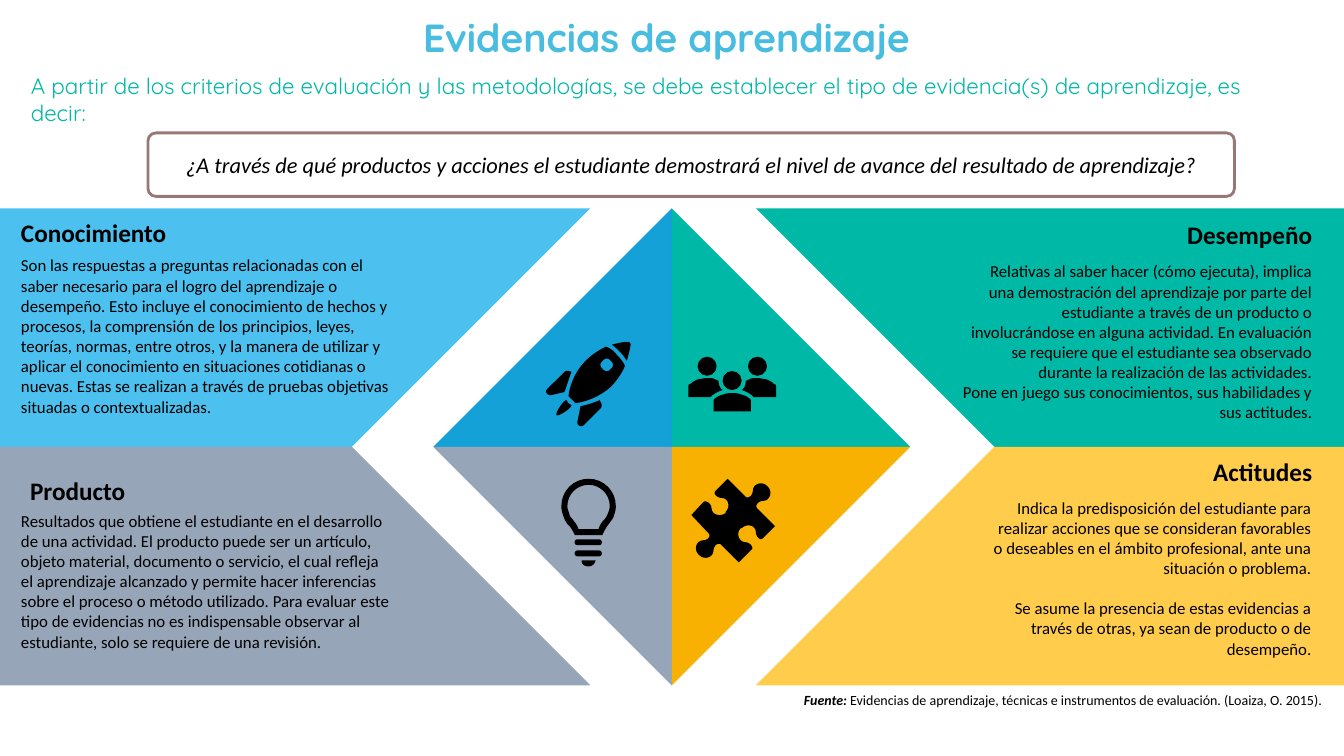
"""Builds the slide on the four kinds of learning evidence."""
from pptx import Presentation
from pptx.dml.color import RGBColor
from pptx.enum.shapes import MSO_SHAPE
from pptx.enum.text import MSO_ANCHOR, PP_ALIGN
from pptx.util import Cm, Pt

LEFT, CENTER, RIGHT = PP_ALIGN.LEFT, PP_ALIGN.CENTER, PP_ALIGN.RIGHT
TOP, MIDDLE, BOTTOM = MSO_ANCHOR.TOP, MSO_ANCHOR.MIDDLE, MSO_ANCHOR.BOTTOM
OVAL, ROUNDED = MSO_SHAPE.OVAL, MSO_SHAPE.ROUNDED_RECTANGLE

BLACK = RGBColor(0x00, 0x00, 0x00)
WHITE = RGBColor(0xFF, 0xFF, 0xFF)
TITLE_BLUE = RGBColor(0x48, 0xBD, 0xE0)
SKY = RGBColor(0x4C, 0xC1, 0xEF)
BLUE = RGBColor(0x13, 0xA1, 0xD8)
TEAL = RGBColor(0x00, 0xB8, 0xA6)
GRAY = RGBColor(0x97, 0xA5, 0xB8)
YELLOW = RGBColor(0xFF, 0xCC, 0x4C)
AMBER = RGBColor(0xF8, 0xB1, 0x00)
BROWN = RGBColor(0x96, 0x78, 0x76)

SLIDE_WIDTH, SLIDE_HEIGHT = 33.87, 19.05
CENTER_X, CENTER_Y, REACH = 16.93, 11.26, 6.01
LEFT_TIP, RIGHT_TIP = 8.87, 25.06
ICON_UNIT = 0.0254

QUADRANTS = [
    (-1, -1, SKY, BLUE), (1, -1, TEAL, TEAL),
    (-1, 1, GRAY, GRAY), (1, 1, YELLOW, AMBER),
]

CARDS = [
    ("Conocimiento", (0.53, 5.36, 6.1, 1.02), (0.53, 6.3, 9.55, 4.37), LEFT,
     "Son las respuestas a preguntas relacionadas con el saber necesario para el logro del "
     "aprendizaje o desempeño. Esto incluye el conocimiento de hechos y procesos, la "
     "comprensión de los principios, leyes, teorías, normas, entre otros, y la manera de "
     "utilizar y aplicar el conocimiento en situaciones cotidianas o nuevas. Estas se realizan "
     "a través de pruebas objetivas situadas o contextualizadas."),
    ("Desempeño", (24.92, 5.41, 8.15, 1.02), (24.23, 6.45, 8.84, 4.37), RIGHT,
     "Relativas al saber hacer (cómo ejecuta), implica una demostración del aprendizaje por "
     "parte del estudiante a través de un producto o involucrándose en alguna actividad. En "
     "evaluación se requiere que el estudiante sea observado durante la realización de las "
     "actividades.\nPone en juego sus conocimientos, sus habilidades y sus actitudes."),
    ("Producto", (0.76, 11.86, 8.99, 1.02), (0.53, 12.73, 9.42, 3.84), LEFT,
     "Resultados que obtiene el estudiante en el desarrollo de una actividad. El producto puede "
     "ser un artículo, objeto material, documento o servicio, el cual refleja el aprendizaje "
     "alcanzado y permite hacer inferencias sobre el proceso o método utilizado. Para evaluar "
     "este tipo de evidencias no es indispensable observar al estudiante, solo se requiere de "
     "una revisión."),
    ("Actitudes", (24.92, 11.38, 8.15, 1.02), (24.92, 12.4, 8.13, 4.37), RIGHT,
     "Indica la predisposición del estudiante para realizar acciones que se consideran "
     "favorables o deseables en el ámbito profesional, ante una situación o problema.\n"
     "Se asume la presencia de estas evidencias a través de otras, ya sean de producto o de "
     "desempeño."),
]

ROCKET = [
    "M 625,340 C 624,338 615,340 607,342 610,344 612,346 615,349 618,352 620,355 622,358 "
    "624,350 627,341 625,340",
    "M 567,369 L 564,368 C 562,368 561,368 560,369 L 543,386 C 540,388 543,393 547,392 "
    "L 560,389 C 562,384 564,377 567,369",
    "M 595,397 C 588,400 581,402 576,403 L 573,418 C 572,422 576,424 579,422 L 596,405 "
    "C 597,404 597,402 597,401 L 595,397",
    "M 601,344 C 595,347 588,351 581,358 569,370 565,385 564,393 L 571,400 C 579,399 594,395 "
    "607,383 613,376 618,369 620,363 619,360 616,356 612,352 609,348 605,345 601,344 "
    "M 606,366 C 604,369 600,369 598,366 595,364 595,360 598,358 600,355 604,355 606,358 "
    "609,360 609,364 606,366",
    "M 564,400 C 562,398 563,395 559,399 556,402 551,410 552,412 554,413 562,408 565,405 "
    "569,401 566,402 564,400",
]
BULB = [
    "M 577,556 C 577,560 580,562 584,562 587,562 590,560 591,556",
    "M 584,475 C 569,475 557,487 557,502 L 557,503 C 557,506 558,509 559,512 560,515 561,517 "
    "563,520 566,522 569,528 570,530 570,531 571,531 572,531 L 596,531 C 597,531 598,531 "
    "598,530 599,528 602,522 604,520 606,517 608,515 609,512 610,509 611,506 611,503 "
    "L 611,502 C 611,487 599,475 584,475 "
    "M 605,502 C 605,505 604,507 603,510 602,512 601,514 600,515 597,518 595,521 594,525 "
    "L 574,525 C 573,521 570,518 568,515 567,514 565,512 565,510 564,507 563,505 563,502 "
    "C 563,490 573,481 584,481 595,481 605,490 605,502",
]
PUZZLE = [
    "M 740,538 C 733,538 730,529 735,524 L 736,524 C 741,519 750,521 750,528 750,532 754,537 "
    "757,534 L 769,522 751,504 C 749,501 753,497 757,497 764,497 767,488 762,483 L 761,482 "
    "C 756,477 747,480 747,487 747,491 743,495 740,493 L 722,475 710,487 C 707,490 712,494 "
    "716,494 723,494 725,503 720,508 L 720,509 C 715,513 706,511 706,504 706,500 701,496 "
    "698,498 L 686,511 703,529 C 706,532 702,536 698,536 691,536 688,545 693,550 L 694,551 "
    "C 699,556 708,553 708,546 708,542 712,538 715,540 L 733,558 746,545 C 748,543 744,538 "
    "740,538",
]
FRONT_PERSON = [
    "M 745,408 L 745,399 C 745,397 745,396 743,395 741,393 738,392 734,391 732,390 729,390 "
    "726,390 724,390 721,390 719,391 715,392 712,393 710,395 708,396 708,397 708,399 L 708,408",
]
SIDE_PERSON = (
    "M 768,381 C 766,379 763,377 759,376 757,376 754,375 751,375 749,375 746,375 744,376 "
    "743,377 741,377 740,378 740,381 739,385 736,387 740,388 743,390 746,392 746,392 747,393 "
    "748,394 L 770,394 770,384 C 770,383 770,381 768,381"
)


def paint(shape, color):
    """Give a shape a plain fill with no line and no shadow."""
    shape.shadow.inherit = False
    shape.fill.solid()
    shape.fill.fore_color.rgb = color
    shape.line.fill.background()


def add_preset(slide, kind, left, top, width, height, color, corner=None):
    """Add a preset shape in one colour."""
    shape = slide.shapes.add_shape(kind, Cm(left), Cm(top), Cm(width), Cm(height))
    paint(shape, color)
    if corner is not None:
        shape.adjustments[0] = corner
    return shape


def add_outline(slide, contours, color):
    """Add a closed freeform from contours given in centimetres."""
    contours = [[(Cm(x), Cm(y)) for x, y in contour] for contour in contours]
    builder = slide.shapes.build_freeform(*contours[0][0], scale=1.0)
    builder.add_line_segments(contours[0][1:], close=True)
    for contour in contours[1:]:
        builder.move_to(*contour[0])
        builder.add_line_segments(contour[1:], close=True)
    paint(builder.convert_to_shape(), color)


def curve(start, first, second, end, steps=8):
    """Return points along a cubic curve, without its start."""
    points = []
    for step in range(1, steps + 1):
        t = step / steps
        weights = ((1 - t) ** 3, 3 * t * (1 - t) ** 2, 3 * t * t * (1 - t), t ** 3)
        points.append(tuple(
            sum(weight * value for weight, value in zip(weights, values))
            for values in zip(start, first, second, end)))
    return points


def trace(path):
    """Turn a path of M, L and C commands into contours in icon units."""
    contours, pending, command = [], [], ""
    for token in path.split():
        if token in "MLC":
            command = token
            continue
        pending.append(tuple(int(value) for value in token.split(",")))
        if command == "M":
            contours.append(pending)
        elif command == "L":
            contours[-1].extend(pending)
        elif len(pending) == 3:
            contours[-1].extend(curve(contours[-1][-1], *pending))
        else:
            continue
        pending = []
    return contours


def add_icon(slide, paths, mirror_sum=None):
    """Draw icon paths in black, flipped left to right if asked."""
    for path in paths:
        contours = [
            [((mirror_sum - x if mirror_sum else x) * ICON_UNIT, y * ICON_UNIT)
             for x, y in contour] for contour in trace(path)]
        add_outline(slide, contours, BLACK)


def write(shape, text, lead="", size=12, font="Calibri", color=BLACK, bold=False, italic=False,
          align=LEFT, anchor=TOP, inset=(0, 0.13), gap=0):
    """Write formatted paragraphs in a shape, after an optional strong lead."""
    frame = shape.text_frame
    frame.word_wrap = True
    frame.vertical_anchor = anchor
    frame.margin_left = frame.margin_right = Cm(inset[0])
    frame.margin_top = frame.margin_bottom = Cm(inset[1])
    for index, line in enumerate(text.split("\n")):
        paragraph = frame.add_paragraph() if index else frame.paragraphs[0]
        paragraph.alignment = align
        if index and gap:
            paragraph.space_before = Pt(gap)
        pieces = [(line, bold, italic)]
        if lead and not index:
            pieces.insert(0, (lead, True, True))
        for piece, is_bold, is_italic in pieces:
            run = paragraph.add_run()
            run.text = piece
            run.font.name, run.font.size = font, Pt(size)
            run.font.bold, run.font.italic = is_bold, is_italic
            run.font.color.rgb = color


def add_text(slide, text, box, **style):
    """Add a text box at left, top, width and height in centimetres."""
    write(slide.shapes.add_textbox(*(Cm(value) for value in box)), text, **style)


def add_quadrant(slide, side, direction, panel_color, triangle_color):
    """Add an outer panel and the diamond quarter next to it."""
    edge, tip = (0, LEFT_TIP) if side < 0 else (SLIDE_WIDTH, RIGHT_TIP)
    far_y = CENTER_Y + direction * REACH
    panel = [(edge, CENTER_Y), (tip, CENTER_Y), (tip - side * REACH, far_y), (edge, far_y)]
    triangle = [(CENTER_X, CENTER_Y), (CENTER_X + side * REACH, CENTER_Y), (CENTER_X, far_y)]
    add_outline(slide, [panel], panel_color)
    add_outline(slide, [triangle], triangle_color)


def main():
    """Build the slide and save it."""
    presentation = Presentation()
    presentation.slide_width, presentation.slide_height = Cm(SLIDE_WIDTH), Cm(SLIDE_HEIGHT)
    slide = presentation.slides.add_slide(presentation.slide_layouts[6])
    for quadrant in QUADRANTS:
        add_quadrant(slide, *quadrant)
    for heading, heading_box, body_box, align, body in CARDS:
        add_text(slide, heading, heading_box, size=18, bold=True, align=align, anchor=BOTTOM)
        add_text(slide, body, body_box, align=align, gap=14.4 if heading == "Actitudes" else 0)

    for paths in (ROCKET, BULB, PUZZLE, FRONT_PERSON, [SIDE_PERSON]):
        add_icon(slide, paths)
    add_icon(slide, [SIDE_PERSON], mirror_sum=1453)
    for left, top in ((17.58, 8.99), (18.85, 8.99), (18.21, 9.35)):
        add_preset(slide, OVAL, left, top, 0.48, 0.48, BLACK)
    for top in (13.59, 13.87):
        add_preset(slide, ROUNDED, 14.48, top, 0.69, 0.15, BLACK, corner=0.5)

    add_text(slide, "Evidencias de aprendizaje", (1.02, 0, 31.55, 2.13), size=28,
             font="Quicksand", color=TITLE_BLUE, bold=True, align=CENTER, inset=(0.33, 0.33))
    add_text(slide, "A partir de los criterios de evaluación y las metodologías, se debe "
             "establecer el tipo de evidencia(s) de aprendizaje, es decir:",
             (0.53, 1.68, 31.95, 1.63), size=16, font="Quicksand", color=TEAL,
             inset=(0.25, 0.13))
    question = add_preset(slide, ROUNDED, 3.73, 3.35, 27.38, 1.6, WHITE, corner=0.124)
    question.line.color.rgb = BROWN
    question.line.width = Pt(2)
    write(question, "¿A través de qué productos y acciones el estudiante demostrará el nivel de "
          "avance del resultado de aprendizaje?", size=16, italic=True, align=CENTER,
          anchor=MIDDLE, inset=(0.25, 0.25))
    add_text(slide, "Evidencias de aprendizaje, técnicas e instrumentos de evaluación. "
             "(Loaiza, O. 2015).", (19.94, 17.3, 13.69, 0.69), lead="Fuente: ", size=10,
             align=CENTER, inset=(0.25, 0.13))
    presentation.save("out.pptx")


if __name__ == "__main__":
    main()
